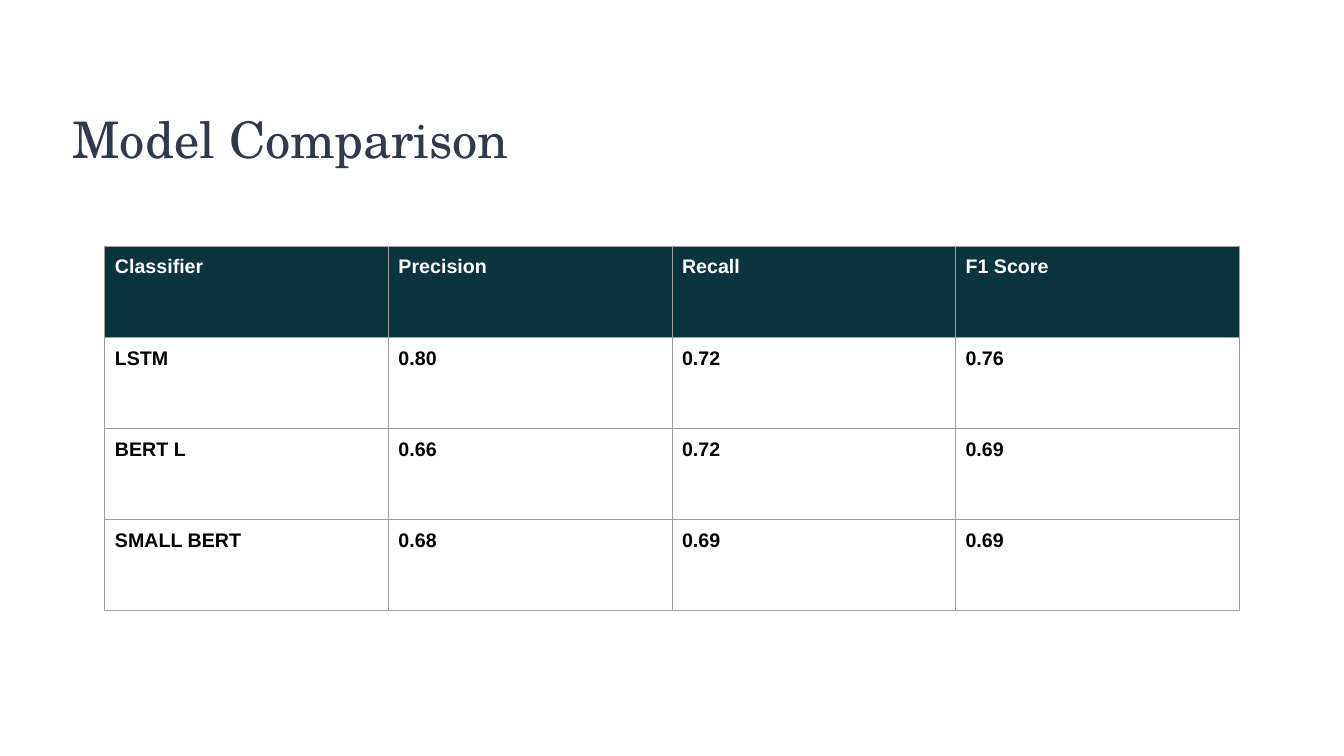
from dataclasses import dataclass

from lxml.etree import SubElement
from pptx import Presentation
from pptx.dml.color import RGBColor
from pptx.enum.text import MSO_ANCHOR
from pptx.oxml.ns import qn
from pptx.util import Inches, Pt


@dataclass(frozen=True)
class Theme:
    """Colours, fonts and sizes of the slide."""
    title_font: str = "TeX Gyre Schola"
    body_font: str = "Arial"
    title_size: float = 36
    body_size: float = 14
    title_color: str = "31394D"
    header_fill: str = "0C343D"
    header_text: str = "FFFFFF"
    body_text: str = "000000"
    border_color: str = "9E9E9E"
    border_width: float = 0.75


THEME = Theme()
SLIDE_WIDTH, SLIDE_HEIGHT = Inches(13.33), Inches(7.5)
SCORES = (
    ("Classifier", "Precision", "Recall", "F1 Score"),
    ("LSTM", "0.80", "0.72", "0.76"),
    ("BERT L", "0.66", "0.72", "0.69"),
    ("SMALL BERT", "0.68", "0.69", "0.69"),
)


def add_run(para, text, font, size, color, bold=False):
    """Append one styled run to a paragraph."""
    span = para.add_run()
    span.text = text
    span.font.name = font
    span.font.size = Pt(size)
    span.font.bold = bold
    span.font.color.rgb = RGBColor.from_string(color)


def add_title(page, text, left, top, width, height):
    """Add the vertically centred slide title."""
    box = page.shapes.add_textbox(left, top, width, height)
    frame = box.text_frame
    frame.word_wrap = True
    frame.vertical_anchor = MSO_ANCHOR.MIDDLE
    para = frame.paragraphs[0]
    para.line_spacing = 0.9
    add_run(para, text, THEME.title_font, THEME.title_size, THEME.title_color)


def add_borders(cell):
    """Draw a thin line on all four sides of a cell."""
    properties = cell._tc.get_or_add_tcPr()
    for side in ("a:lnL", "a:lnR", "a:lnT", "a:lnB"):
        line = SubElement(properties, qn(side), w=str(Pt(THEME.border_width)))
        fill = SubElement(line, qn("a:solidFill"))
        SubElement(fill, qn("a:srgbClr"), val=THEME.border_color)


def fill_cell(cell, text, is_header):
    """Style one table cell and write its text."""
    cell.margin_left = cell.margin_right = Inches(0.1)
    cell.margin_top = cell.margin_bottom = Inches(0.1)
    add_borders(cell)
    if is_header:
        cell.fill.solid()
        cell.fill.fore_color.rgb = RGBColor.from_string(THEME.header_fill)
    else:
        cell.fill.background()
    color = THEME.header_text if is_header else THEME.body_text
    para = cell.text_frame.paragraphs[0]
    add_run(para, text, THEME.body_font, THEME.body_size, color, bold=True)


def add_score_table(page, rows, left, top, width, height):
    """Add a table with equal columns and rows under a dark header."""
    frame = page.shapes.add_table(len(rows), len(rows[0]), left, top, width, height)
    table = frame.table
    table.horz_banding = False
    for row_index, row in enumerate(rows):
        for column_index, text in enumerate(row):
            fill_cell(table.cell(row_index, column_index), text, row_index == 0)


def main():
    """Build and save the model comparison slide."""
    deck = Presentation()
    deck.slide_width, deck.slide_height = SLIDE_WIDTH, SLIDE_HEIGHT
    page = deck.slides.add_slide(deck.slide_layouts[6])
    add_title(page, "Model Comparison", Inches(0.62), Inches(0.61),
              Inches(5.82), Inches(1.6))
    add_score_table(page, SCORES, Inches(1.04), Inches(2.44),
                    Inches(11.25), Inches(3.62))
    deck.save("out.pptx")


if __name__ == "__main__":
    main()
